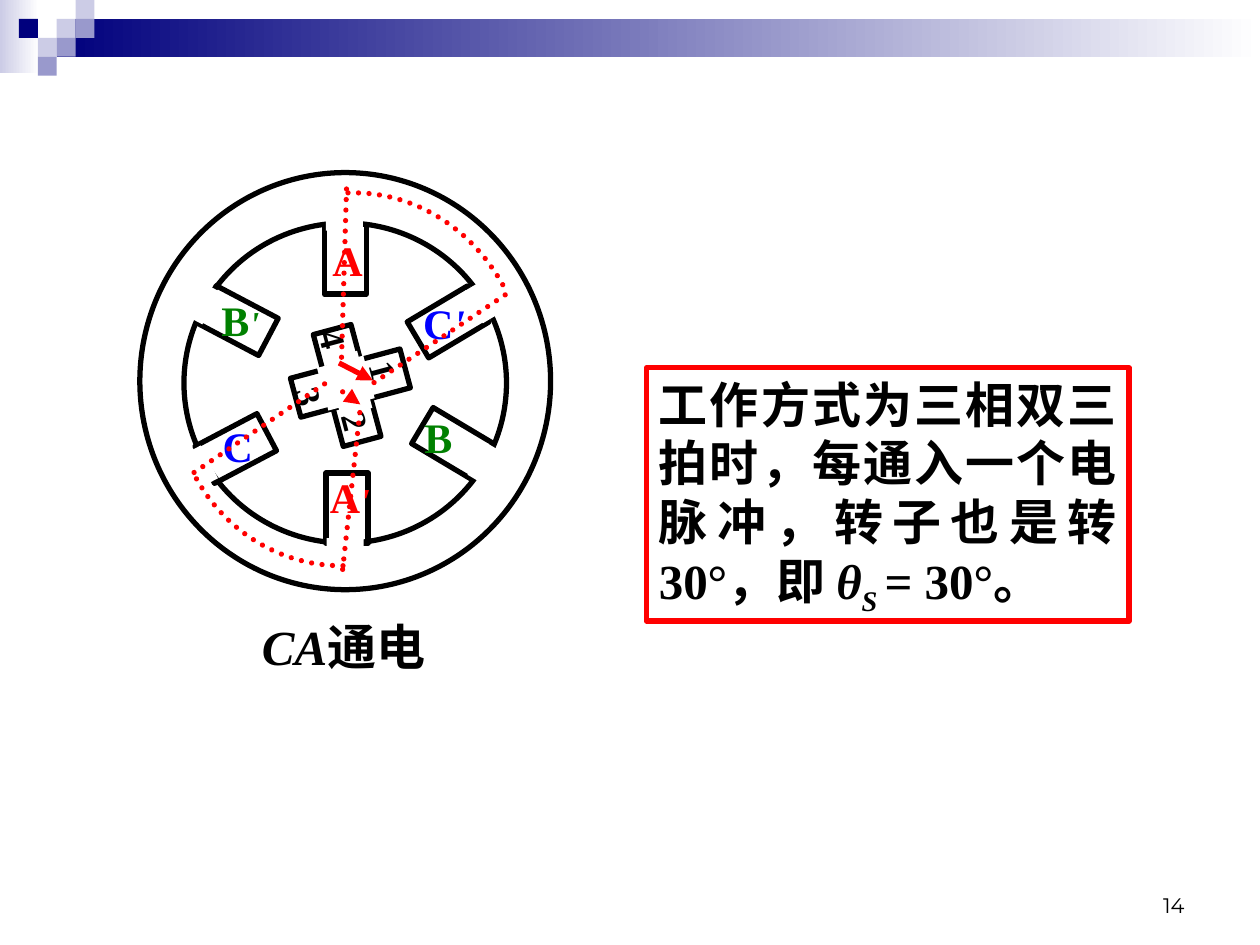
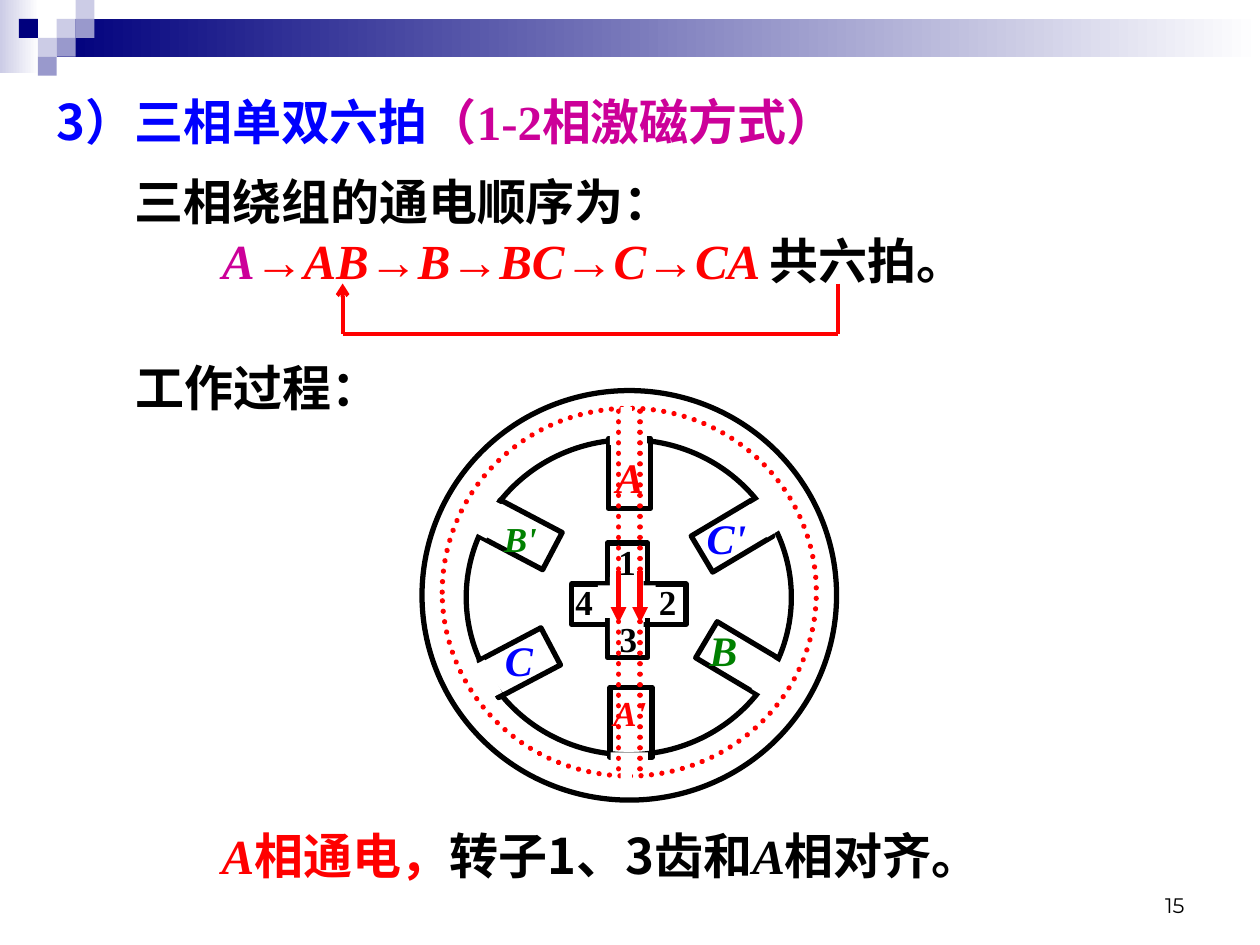
from collections import namedtuple

from lxml.etree import SubElement
from pptx import Presentation
from pptx.dml.color import RGBColor
from pptx.enum.dml import MSO_LINE
from pptx.enum.shapes import MSO_CONNECTOR, MSO_SHAPE
from pptx.enum.text import MSO_ANCHOR, PP_ALIGN
from pptx.oxml.ns import qn
from pptx.util import Pt

TIMES, SANS, MONT = "Times New Roman", "Noto Sans CJK SC", "Montserrat"
BLACK, WHITE, RED = "000000", "FFFFFF", "FF0000"
BLUE, GREEN, PINK = "0000FF", "008000", "CC0099"
NAVY, MID, PALE = "00007D", "9999CC", "CCCCE6"
RECT, OVAL = MSO_SHAPE.RECTANGLE, MSO_SHAPE.OVAL

Run = namedtuple("Run", "text color ital font size base bold",
                 defaults=(BLACK, False, TIMES, 28, 0, True))

# Header: tile grid (column, row, colour)
TILE = 10.8
TILES = [(3, 1, PALE), (4, 0, PALE), (4, 1, MID), (2, 2, PALE),
         (1, 1, NAVY), (3, 2, MID), (2, 3, MID)]
FADES = [((0, 0, 22.3, 41.8), PALE), ((32.4, 10.8, 687.6, 21.6), NAVY)]

# Stator poles: centre of pole, centre of gap in the ring, turn; from motor centre
POLES = [
    ((0, -69.7), (-0.5, -94.3), 0),
    ((1, 72.5), (0, 98), 0),
    ((58.7, -33.8), (80.3, -46.4), 239.2),
    ((-61.6, -34.6), (-84, -45.7), 297.8),
    ((61.2, 35.6), (82.4, 48.6), 120.8),
    ((-62.6, 38.5), (-85, 50), 62.2),
]

# Slide 1
RULE = [[Run("工作方式为三相双三拍时，每通入一个电脉冲，转子也是转30°，即 "),
         Run("θ", ital=True), Run("S ", ital=True, base=-25), Run("= 30°。")]]
PHASE = [[Run("CA", ital=True), Run("通电")]]
PRIME = Run("'", RED, True, size=20)
MOTOR1 = {
    "mid": (197.3, 217.8), "outer": (234.7, 238.3),
    "core": (197.3, 218.9), "inner": (184.3, 182.9),
    "labels": [
        ((120.2, 236.9, 31.7, 36), [Run("C", BLUE, size=24)]),
        ((181.4, 265.7, 37.4, 36), [Run("A", RED, size=24), PRIME]),
        ((235.4, 231.8, 30.2, 36), [Run("B", GREEN, size=24)]),
        ((119.5, 164.9, 36, 36),
         [Run("B", GREEN, size=24), PRIME._replace(color=GREEN)]),
        ((234.7, 166.3, 38.2, 36),
         [Run("C", BLUE, size=24), PRIME._replace(color=BLUE, size=24)]),
        ((182.9, 130.3, 31.7, 36), [Run("A", RED, size=24)]),
    ],
    "turn": 75,
    "bars": [(200.2, 218.9, 23, 64.8, 75), (198.4, 220.3, 22.3, 66.2, 345)],
    "hubs": [(200.9, 228.6, 43.2, 15.1, 75), (199.4, 219.2, 33.8, 18.7, 75),
             (197.6, 218.9, 25.2, 27.4, 75)],
    "teeth": {"3": (164.9, 211), "4": (178.6, 178.6),
              "1": (207.4, 196.6), "2": (191.5, 225.4)},
}
# Flux arcs: start, then two cubic curves of three points each
ARCS = [
    [(287.3, 162.7), (269.3, 130.3), (236.9, 110.2), (202.3, 110.2),
     (200.2, 110.2), (198, 110.2), (195.8, 110.2)],
    [(112.3, 273.6), (129.6, 304.6), (161.3, 323.3), (195.1, 323.3),
     (196.6, 323.3), (197.3, 323.3), (198.7, 323.3)],
]
# from, to, dotted, arrowhead
FLUX1 = [
    ((110.9, 270), (187.2, 218.2), True, None),
    ((195.8, 325.4), (205.9, 233.3), True, None),
    ((195.8, 223.9), (205.9, 231.1), True, "triangle"),
    ((193.7, 207.4), (213.1, 217.4), False, "triangle"),
    ((198, 108), (195.1, 207.4), True, None),
    ((288.7, 168.5), (210.2, 221), True, None),
]

# Slide 2
HEAD = [[Run("3）三相单双六拍", BLUE, font=SANS), Run("（1-2相激磁方式）", PINK)]]
STEPS = ["A", "AB", "B", "BC", "C", "CA "]
ORDER = [[Run("三相绕组的通电顺序为：", font=SANS)], []]
for step in STEPS:
    if ORDER[1]:
        ORDER[1].append(Run("→", RED))
    ORDER[1].append(Run(step, RED if ORDER[1] else PINK, True))
ORDER[1].append(Run("共六拍。", font=SANS))
WORK = [[Run("工作过程：", font=SANS)]]
ALIGN = [[Run("A", RED, True), Run("相通电，", RED, font=SANS),
          Run("转子1、3齿和", font=SANS), Run("A", ital=True),
          Run("相对齐。", font=SANS)]]
MOTOR2 = {
    "mid": (359.6, 340.2), "outer": (236.9, 234),
    "core": (359.3, 341.3), "inner": (185.8, 180),
    "labels": [
        ((281.5, 359.3, 31.7, 36), [Run("C", BLUE, True, size=24)]),
        ((343.4, 391.7, 33.1, 31), [Run("A'", RED, True, size=20)]),
        ((398.2, 353.5, 30.2, 36), [Run("B", GREEN, True, size=24)]),
        ((280.8, 292.3, 33.1, 31), [Run("B'", GREEN, True, size=20)]),
        ((396.7, 289.4, 37.4, 36), [Run("C'", BLUE, True, size=24)]),
        ((344.9, 254.2, 30.2, 36), [Run("A", RED, True, size=24)]),
    ],
    "turn": 0,
    "bars": [(358.6, 343, 23, 65.5, 0), (359.3, 345.2, 23, 65.5, 270)],
    "hubs": [(358.2, 347.8, 19.4, 36, 0), (358.2, 343.8, 33.1, 18.7, 0)],
    "teeth": {"3": (347, 349.2), "4": (321.8, 328.3),
              "1": (346.3, 305.3), "2": (369.4, 328.3)},
}
FLUXX = [353.5, 365.8]
LOOP = [(478.8, 162), (478.8, 190.8), (195.8, 190.8), (195.8, 162)]


def rgb(code):
    return RGBColor.from_string(code)


def pen(line, color, width, dots=False):
    line.color.rgb = rgb(color)
    line.width = Pt(width)
    if dots:
        line.dash_style = MSO_LINE.ROUND_DOT
        line._get_or_add_ln().set("cap", "rnd")


def shape(slide, kind, box, fill=None, line=None, turn=0, dots=False):
    item = slide.shapes.add_shape(kind, *map(Pt, box))
    item.shadow.inherit = False
    item.rotation = turn
    if fill:
        item.fill.solid()
        item.fill.fore_color.rgb = rgb(fill)
    else:
        item.fill.background()
    if line:
        pen(item.line, line, 3, dots)
    else:
        item.line.fill.background()
    return item


def around(mid, size):
    """Box of the given size, centred on mid."""
    return (mid[0] - size[0] / 2, mid[1] - size[1] / 2, *size)


def write(frame, paras, align=PP_ALIGN.LEFT, wrap=True):
    frame.word_wrap = wrap
    frame.vertical_anchor = MSO_ANCHOR.TOP
    for i, runs in enumerate(paras):
        para = frame.add_paragraph() if i else frame.paragraphs[0]
        para.alignment = align
        for spec in runs:
            run = para.add_run()
            run.text = spec.text
            font = run.font
            font.size, font.bold, font.italic = Pt(spec.size), spec.bold, spec.ital
            font.color.rgb = rgb(spec.color)
            font.name = spec.font
            props = run._r.get_or_add_rPr()
            SubElement(props, qn("a:ea")).set("typeface", SANS)
            if spec.base:
                props.set("baseline", str(spec.base * 1000))


def text(slide, box, paras, align=PP_ALIGN.LEFT, wrap=True, turn=0):
    item = slide.shapes.add_textbox(*map(Pt, box))
    item.rotation = turn
    write(item.text_frame, paras, align, wrap)
    return item.text_frame


def link(slide, start, end, dots=False, head=None, width=3):
    item = slide.shapes.add_connector(
        MSO_CONNECTOR.STRAIGHT, *map(Pt, start + end))
    pen(item.line, RED, width, dots)
    if head:
        SubElement(item.line._get_or_add_ln(), qn("a:tailEnd")).set("type", head)
    SubElement(item._element.spPr, qn("a:effectLst"))


def curve(slide, nodes, steps=24):
    """Dotted line through chained cubic curves."""
    points = [nodes[0]]
    for i in range(0, len(nodes) - 1, 3):
        quad = nodes[i:i + 4]
        for n in range(1, steps + 1):
            t = n / steps
            parts = ((1 - t) ** 3, 3 * t * (1 - t) ** 2, 3 * t * t * (1 - t), t ** 3)
            points.append(tuple(sum(k * p[a] for k, p in zip(parts, quad))
                                for a in (0, 1)))
    points = [(Pt(x), Pt(y)) for x, y in points]
    form = slide.shapes.build_freeform(*points[0])
    form.add_line_segments(points[1:], close=False)
    item = form.convert_to_shape()
    item.shadow.inherit = False
    item.fill.background()
    pen(item.line, RED, 3, True)


def stator(slide, motor):
    mx, my = motor["mid"]
    shape(slide, OVAL, around(motor["core"], motor["inner"]), line=BLACK)
    shape(slide, OVAL, around(motor["mid"], motor["outer"]), line=BLACK)
    for pole, gap, turn in POLES:
        shape(slide, RECT, around((mx + pole[0], my + pole[1]), (24, 40)),
              line=BLACK, turn=turn)
        shape(slide, RECT, around((mx + gap[0], my + gap[1]), (21.2, 16.6)),
              WHITE, turn=turn)
    for box, runs in motor["labels"]:
        text(slide, box, [runs], wrap=False)


def rotor(slide, motor):
    for x, y, w, h, turn in motor["bars"]:
        shape(slide, RECT, around((x, y), (w, h)), line=BLACK, turn=turn)
    for x, y, w, h, turn in motor["hubs"]:
        shape(slide, RECT, around((x, y), (w, h)), WHITE, turn=turn)
    for name, spot in motor["teeth"].items():
        text(slide, (*spot, 24.5, 31), [[Run(name, size=20)]],
             wrap=False, turn=motor["turn"])


def start(deck, number):
    """New slide with header band and page number."""
    slide = deck.slides.add_slide(deck.slide_layouts[6])
    for box, color in FADES:
        fill = shape(slide, RECT, box).fill
        fill.gradient()
        fill.gradient_angle = 0
        for stop, code in zip(fill.gradient_stops, (color, WHITE)):
            stop.color.rgb = rgb(code)
    for col, row, color in TILES:
        shape(slide, RECT, (col * TILE, row * TILE, TILE, TILE), color)
    frame = text(slide, (516.2, 491.8, 167.8, 36),
                 [[Run(number, font=MONT, size=12, bold=False)]], PP_ALIGN.RIGHT)
    frame.vertical_anchor = MSO_ANCHOR.BOTTOM
    return slide


def double(deck):
    slide = start(deck, "14")
    panel = shape(slide, RECT, (369.4, 210.2, 275.8, 144.7), line=RED)
    write(panel.text_frame, RULE, PP_ALIGN.JUSTIFY)
    text(slide, (142.6, 348.5, 118, 41), PHASE, PP_ALIGN.JUSTIFY)
    stator(slide, MOTOR1)
    curve(slide, ARCS[0])
    rotor(slide, MOTOR1)
    curve(slide, ARCS[1])
    for flux in FLUX1:
        link(slide, *flux)


def mixed(deck):
    slide = start(deck, "15")
    text(slide, (25.2, 49, 538.6, 41), HEAD)
    frame = text(slide, (69.8, 94.3, 560.2, 74.2), ORDER)
    frame.paragraphs[1]._p.get_or_add_pPr().set("marL", str(Pt(50)))
    text(slide, (70.6, 200.9, 154.8, 41), WORK, wrap=False)
    text(slide, (119.5, 468, 445.7, 41), ALIGN)
    stator(slide, MOTOR2)
    rotor(slide, MOTOR2)
    shape(slide, OVAL, (252.7, 233.3, 213.8, 210.2), line=RED, dots=True)
    for x in FLUXX:
        link(slide, (x, 235), (x, 442), True)
    for y in (440.6, 232.6):
        shape(slide, RECT, (354.6, y, 6.5, 6.5), WHITE)
    for x in FLUXX:
        link(slide, (x, 326.5), (x, 356), head="triangle")
    for a, b in zip(LOOP, LOOP[1:]):
        link(slide, a, b, head="arrow" if b == LOOP[-1] else None, width=2.25)


def main():
    deck = Presentation()
    deck.slide_width, deck.slide_height = Pt(720), Pt(540)
    double(deck)
    mixed(deck)
    deck.save("out.pptx")


if __name__ == "__main__":
    main()
